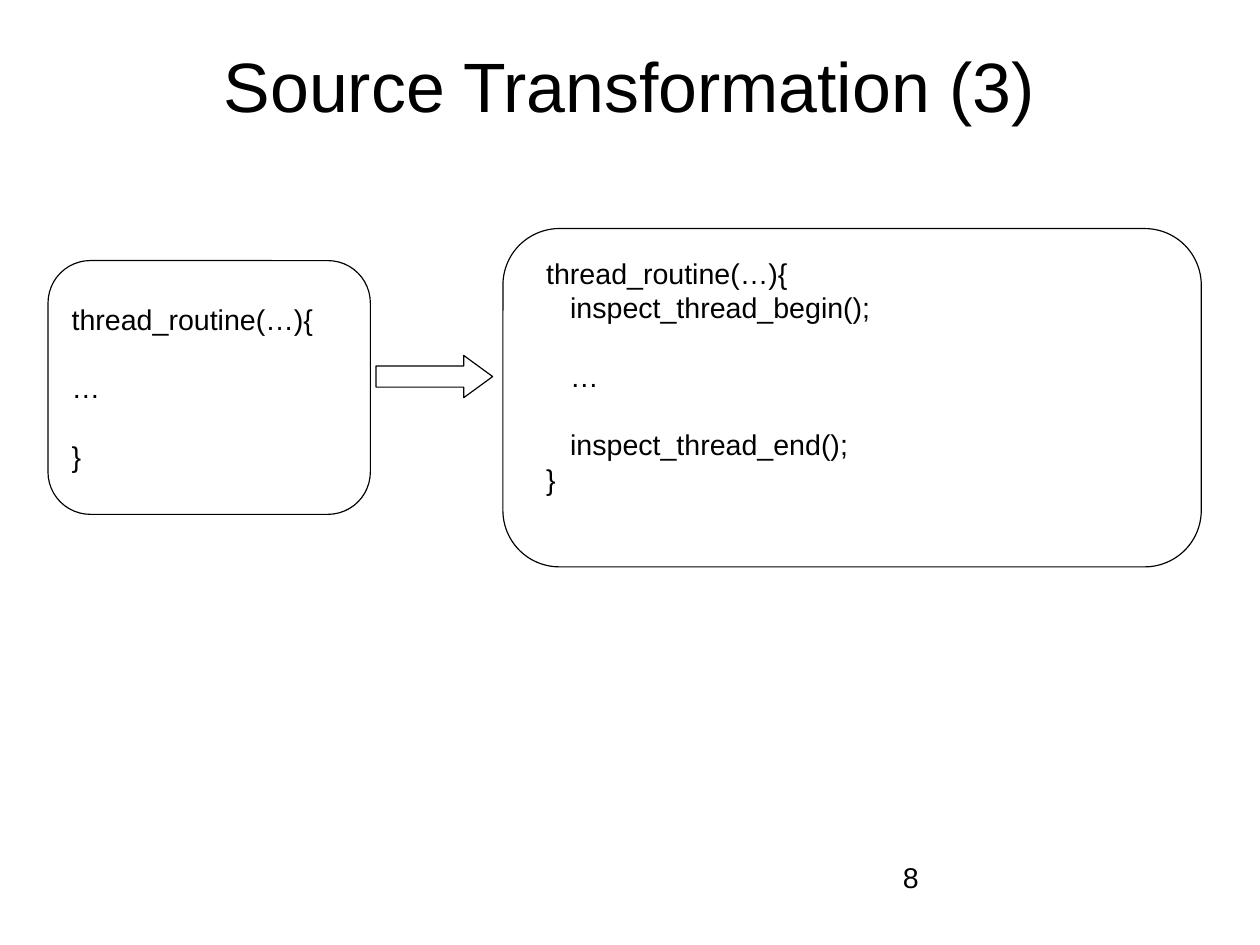
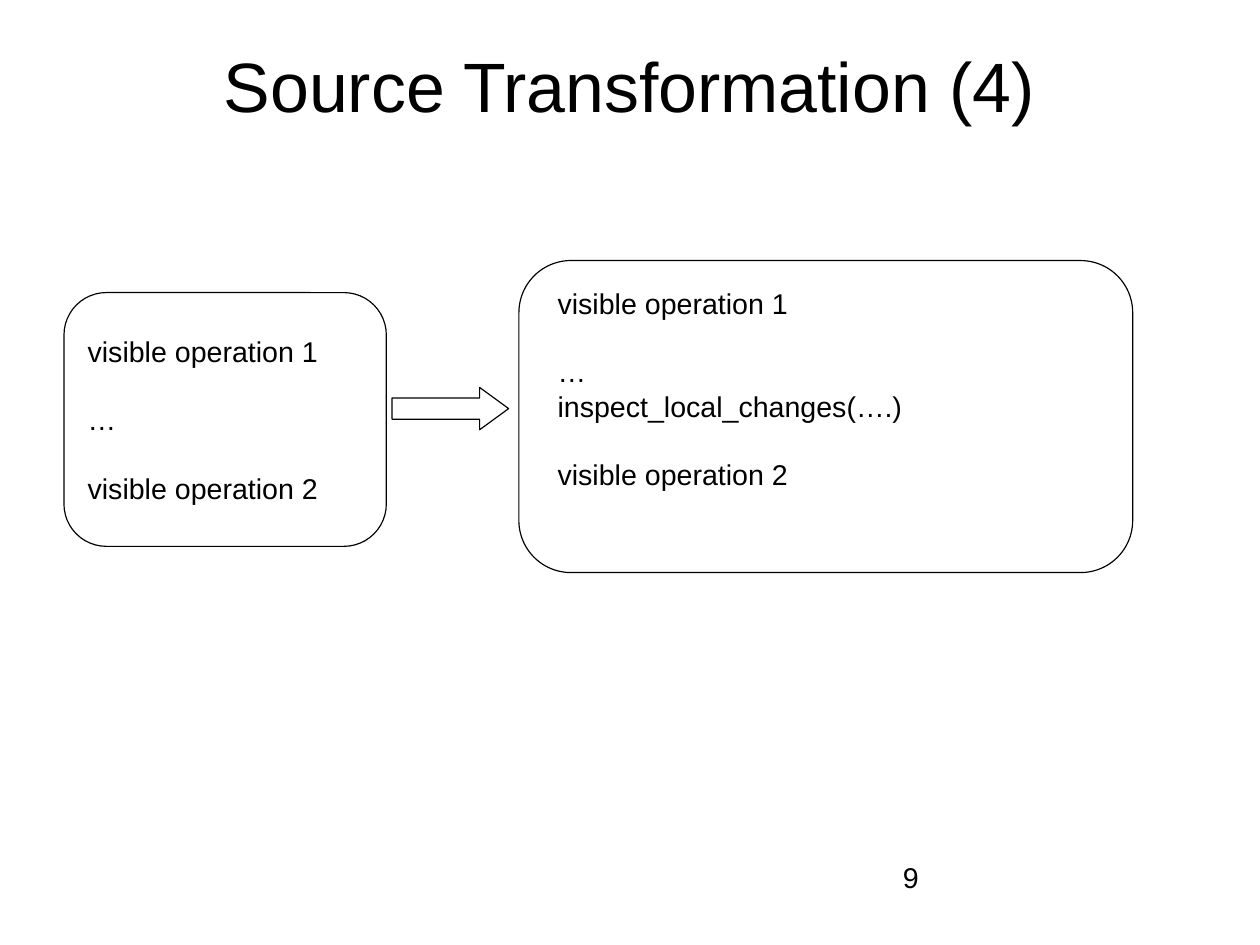
import dataclasses

import pptx
import pptx.dml.color
import pptx.enum.shapes
import pptx.enum.text
import pptx.util

Inches = pptx.util.Inches
Pt = pptx.util.Pt
Shapes = pptx.enum.shapes.MSO_SHAPE
Align = pptx.enum.text.PP_ALIGN
Anchor = pptx.enum.text.MSO_ANCHOR


@dataclasses.dataclass(frozen=True)
class Theme:
    font: str = "Arial"
    ink: pptx.dml.color.RGBColor = pptx.dml.color.RGBColor(0, 0, 0)
    title_size: int = 44
    title_spacing: float = 52.4
    body_size: int = 18
    body_spacing: float = 21.6
    number_spacing: float = 21.1
    outline: float = 0.75


@dataclasses.dataclass(frozen=True)
class Line:
    text: str
    indented: bool = False
    gap_before: bool = False


@dataclasses.dataclass(frozen=True)
class Transformation:
    title: str
    number: str
    left: float
    top: float
    before: tuple
    after: tuple
    panel_size: tuple
    panel_inset: tuple


THEME = Theme()
CENTIMETRES_PER_INCH = 2.54
CODE_INDENT = 0.21
BEFORE_SIZE = (2.82, 2.22)
ARROW_OFFSET = (2.87, 0.83)
ARROW_SIZE = (1.02, 0.37)
PANEL_OFFSET = (3.98, -0.28)

TRANSFORMATIONS = (
    Transformation(
        title="Source Transformation (3)",
        number="8",
        left=0.42,
        top=2.28,
        before=(
            Line("thread_routine(…){"),
            Line("…", gap_before=True),
            Line("}", gap_before=True),
        ),
        after=(
            Line("thread_routine(…){"),
            Line("inspect_thread_begin();", indented=True),
            Line("…", indented=True, gap_before=True),
            Line("inspect_thread_end();", indented=True, gap_before=True),
            Line("}"),
        ),
        panel_size=(6.11, 2.96),
        panel_inset=(0.28, 0.19),
    ),
    Transformation(
        title="Source Transformation (4)",
        number="9",
        left=0.56,
        top=2.56,
        before=(
            Line("visible operation 1"),
            Line("…", gap_before=True),
            Line("visible operation 2", gap_before=True),
        ),
        after=(
            Line("visible operation 1"),
            Line("…", gap_before=True),
            Line("inspect_local_changes(….)"),
            Line("visible operation 2", gap_before=True),
        ),
        panel_size=(5.37, 2.73),
        panel_inset=(0.24, 0.17),
    ),
)


def apply(target, values):
    for name, value in values.items():
        setattr(target, name, value)


def format_font(paragraph, size):
    apply(paragraph.font, {"name": THEME.font, "size": Pt(size)})
    paragraph.font.color.rgb = THEME.ink


def set_frame(frame, anchor=Anchor.TOP, margins=(0.1, 0.05)):
    horizontal, vertical = (Inches(margin) for margin in margins)
    apply(frame, {
        "word_wrap": True,
        "auto_size": pptx.enum.text.MSO_AUTO_SIZE.NONE,
        "vertical_anchor": anchor,
        "margin_left": horizontal,
        "margin_right": horizontal,
        "margin_top": vertical,
        "margin_bottom": vertical,
    })


def write_code(frame, lines):
    for index, line in enumerate(lines):
        paragraph = frame.add_paragraph() if index else frame.paragraphs[0]
        paragraph.text = line.text
        apply(paragraph, {
            "alignment": Align.LEFT,
            "line_spacing": Pt(THEME.body_spacing),
            "space_before": Pt(THEME.body_spacing if line.gap_before else 0),
        })
        format_font(paragraph, THEME.body_size)
        if line.indented:
            properties = paragraph._p.get_or_add_pPr()
            properties.set("marL", str(Inches(CODE_INDENT)))


def add_outline(shapes, kind, left, top, size, adjustments):
    shape = shapes.add_shape(
        kind, Inches(left), Inches(top), *(Inches(length) for length in size))
    for index, value in enumerate(adjustments):
        shape.adjustments[index] = value
    shape.shadow.inherit = False
    shape.fill.background()
    shape.line.color.rgb = THEME.ink
    shape.line.width = Pt(THEME.outline)
    return shape


def add_rounded_box(shapes, left, top, size):
    return add_outline(shapes, Shapes.ROUNDED_RECTANGLE, left, top, size, (0.167,))


def set_title(slide, text):
    title = slide.shapes.title
    apply(title, {
        "left": Inches(0.55),
        "top": Inches(0.33),
        "width": Inches(9.92),
        "height": Inches(0.96),
    })
    set_frame(title.text_frame)
    paragraph = title.text_frame.paragraphs[0]
    paragraph.text = text
    apply(paragraph, {
        "alignment": Align.CENTER,
        "line_spacing": Pt(THEME.title_spacing),
    })
    format_font(paragraph, THEME.title_size)


def add_number(slide, number):
    box = slide.shapes.add_textbox(Inches(7.9), Inches(7.53), Inches(2.56), Inches(0.57))
    set_frame(box.text_frame, margins=(0, 0))
    paragraph = box.text_frame.paragraphs[0]
    paragraph.text = number
    paragraph.line_spacing = Pt(THEME.number_spacing)
    format_font(paragraph, THEME.body_size)


def add_before(slide, content):
    box = add_rounded_box(slide.shapes, content.left, content.top, BEFORE_SIZE)
    set_frame(box.text_frame, Anchor.MIDDLE)
    write_code(box.text_frame, content.before)


def add_arrow(slide, content):
    add_outline(
        slide.shapes, Shapes.RIGHT_ARROW, content.left + ARROW_OFFSET[0],
        content.top + ARROW_OFFSET[1], ARROW_SIZE, (0.5, 0.685))


def add_after(slide, content):
    left = content.left + PANEL_OFFSET[0]
    top = content.top + PANEL_OFFSET[1]
    width, height = content.panel_size
    inset_left, inset_top = content.panel_inset
    group = slide.shapes.add_group_shape()
    add_rounded_box(group.shapes, left, top, content.panel_size)
    box = group.shapes.add_textbox(
        Inches(left + inset_left), Inches(top + inset_top),
        Inches(width - 2 * inset_left), Inches(height - 2 * inset_top))
    set_frame(box.text_frame)
    write_code(box.text_frame, content.after)


def add_transformation(presentation, content):
    slide = presentation.slides.add_slide(presentation.slide_layouts[5])
    set_title(slide, content.title)
    add_before(slide, content)
    add_after(slide, content)
    add_arrow(slide, content)
    add_number(slide, content.number)


def main():
    presentation = pptx.Presentation()
    presentation.slide_width = Inches(28 / CENTIMETRES_PER_INCH)
    presentation.slide_height = Inches(21 / CENTIMETRES_PER_INCH)
    for content in TRANSFORMATIONS:
        add_transformation(presentation, content)
    presentation.save("out.pptx")


if __name__ == "__main__":
    main()
